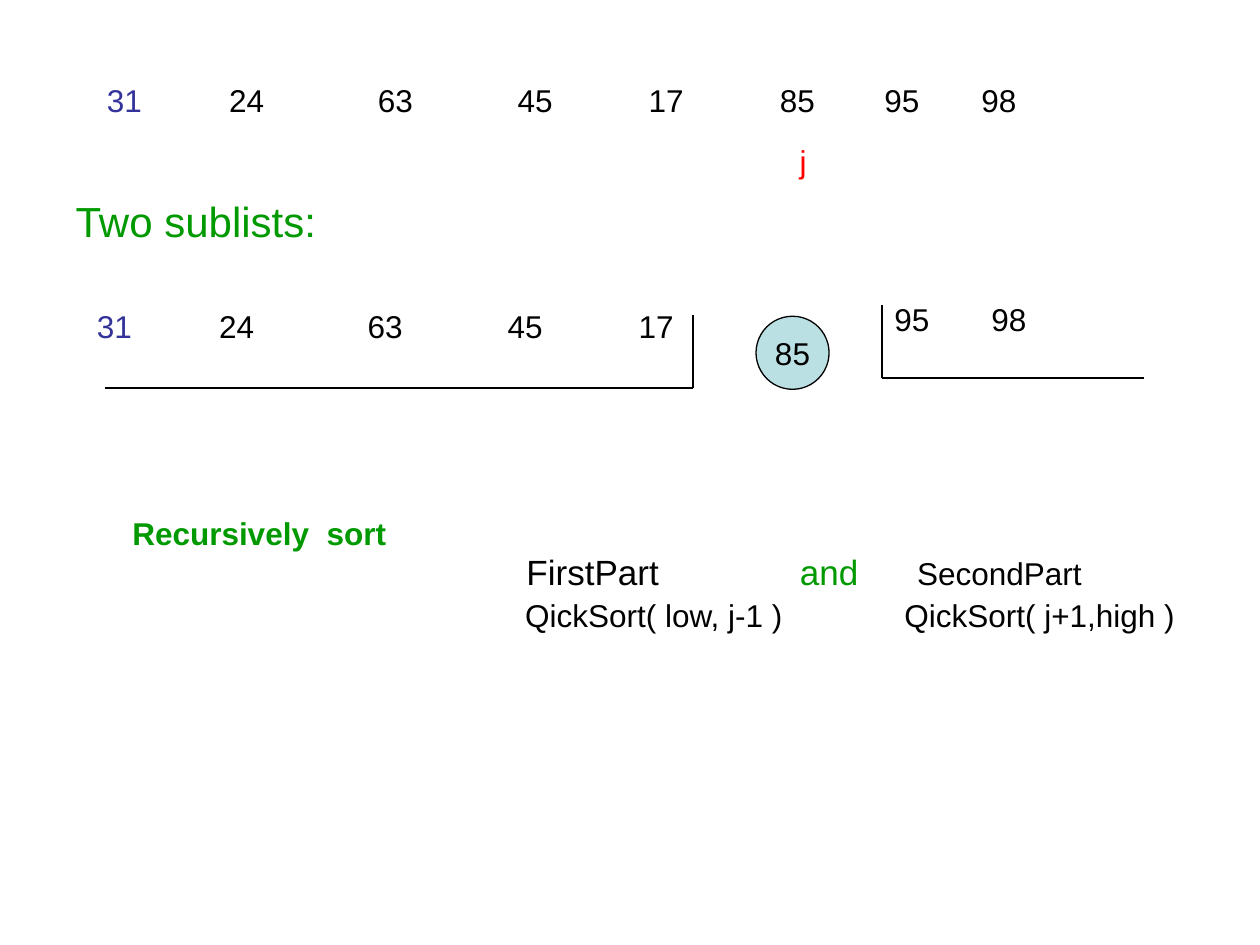
"""Build the quicksort slide that splits a list into two sublists around a pivot."""
import pptx
import pptx.dml.color
import pptx.enum.shapes
import pptx.enum.text
import pptx.oxml.ns
import pptx.util
import lxml.etree

Inches = pptx.util.Inches
BLACK = pptx.dml.color.RGBColor(0x00, 0x00, 0x00)
WHITE = pptx.dml.color.RGBColor(0xFF, 0xFF, 0xFF)
INDIGO = pptx.dml.color.RGBColor(0x33, 0x33, 0x99)
GREEN = pptx.dml.color.RGBColor(0x00, 0x99, 0x00)
RED = pptx.dml.color.RGBColor(0xFF, 0x00, 0x00)
PALE_TEAL = pptx.dml.color.RGBColor(0xBB, 0xE0, 0xE3)


def place(shape, left, top, width, height, wrap=True):
    bounds = {"left": left, "top": top, "width": width, "height": height}
    for name, value in bounds.items():
        setattr(shape, name, Inches(value))
    frame_format = {
        "word_wrap": wrap,
        "auto_size": pptx.enum.text.MSO_AUTO_SIZE.NONE,
        "vertical_anchor": pptx.enum.text.MSO_ANCHOR.TOP,
    }
    for name, value in frame_format.items():
        setattr(shape.text_frame, name, value)


def write(paragraph, runs, stops=(), alignment=pptx.enum.text.PP_ALIGN.LEFT):
    paragraph_format = {"alignment": alignment, "space_before": pptx.util.Pt(0)}
    for name, value in paragraph_format.items():
        setattr(paragraph, name, value)
    if stops:
        properties = paragraph._p.get_or_add_pPr()
        tab_list = lxml.etree.SubElement(properties, pptx.oxml.ns.qn("a:tabLst"))
        for stop in stops:
            tab = lxml.etree.SubElement(tab_list, pptx.oxml.ns.qn("a:tab"))
            tab.set("pos", str(Inches(stop)))
            tab.set("algn", "l")
    for text, size, color, bold in runs:
        run = paragraph.add_run()
        run.text = text
        font_format = {"name": "Arial", "size": pptx.util.Pt(size), "bold": bold}
        for name, value in font_format.items():
            setattr(run.font, name, value)
        run.font.color.rgb = color


presentation = pptx.Presentation()
presentation.slide_width = Inches(10)
presentation.slide_height = Inches(7.5)
slide = presentation.slides.add_slide(presentation.slide_layouts[1])

title = slide.shapes.title
place(title, 0.5, 1.5, 4.33, 0.5)
write(title.text_frame.paragraphs[0], [("Two sublists:", 24, GREEN, False)])

number_stops = [0.97, 2.15, 3.26, 4.3, 5.34, 6.17, 6.94]
number_rows = [
    ((0.75, 0.59, 7.91, 0.7), "31", [24, 63, 45, 17, 85, 95, 98], number_stops),
    ((0.67, 2.39, 5.33, 0.7), "31", [24, 63, 45, 17], number_stops),
    ((7, 2.33, 2.25, 0.7), "95", [98], [0.77]),
]
for bounds, first, others, stops in number_rows:
    row = slide.shapes.add_textbox(0, 0, 0, 0)
    place(row, *bounds)
    first_color = INDIGO if first == "31" else BLACK
    rest = "".join(f"\t{number}" for number in others)
    runs = [(first, 18, first_color, False), (rest, 18, BLACK, False)]
    write(row.text_frame.paragraphs[0], runs, stops)

bracket_lines = [
    (5.5, 2.5, 5.5, 3.08),
    (0.83, 3.08, 5.5, 3.08),
    (7, 2.42, 7, 3),
    (7, 3, 9.08, 3),
]
for ends in bracket_lines:
    line = slide.shapes.add_connector(
        pptx.enum.shapes.MSO_CONNECTOR.STRAIGHT, *[Inches(end) for end in ends]
    )
    line.line.color.rgb = BLACK
    line.line.width = pptx.util.Pt(0.75)
    lxml.etree.SubElement(line._element.spPr, pptx.oxml.ns.qn("a:effectLst"))

body = slide.placeholders[1]
place(body, 0.95, 4.03, 8.71, 0.4)
step = body.text_frame.paragraphs[0]
write(step, [("Recursively  sort", 18, GREEN, True)])
step_properties = step._p.get_or_add_pPr()
for name in ("marL", "indent"):
    step_properties.set(name, "0")
lxml.etree.SubElement(step_properties, pptx.oxml.ns.qn("a:buNone"))

calls = slide.shapes.add_textbox(0, 0, 0, 0)
place(calls, 0.95, 4.32, 8.71, 0.8)
part_names = [
    ("\tFirstPart", 20, BLACK, False),
    ("\tand", 20, GREEN, False),
    ("\tSecondPart", 18, BLACK, False),
]
part_calls = [
    ("\t", 20, GREEN, False),
    ("QickSort( low, j-1 )\tQickSort( j+1,high )", 18, BLACK, False),
]
write(calls.text_frame.paragraphs[0], part_names, [3.13, 5.3, 6.23])
write(calls.text_frame.add_paragraph(), part_calls, [3.12, 6.13])

markers = [
    ("RECTANGLE", (5.96, 1.1, 0.83, 0.35), WHITE, WHITE, "j", RED),
    ("OVAL", (6, 2.51, 0.58, 0.58), PALE_TEAL, BLACK, "85", BLACK),
]
for kind, bounds, fill_color, line_color, label, label_color in markers:
    marker = slide.shapes.add_shape(pptx.enum.shapes.MSO_SHAPE[kind], 0, 0, 0, 0)
    place(marker, *bounds, wrap=False)
    marker.text_frame.vertical_anchor = pptx.enum.text.MSO_ANCHOR.MIDDLE
    marker.shadow.inherit = False
    marker.fill.solid()
    marker.fill.fore_color.rgb = fill_color
    marker.line.color.rgb = line_color
    marker.line.width = pptx.util.Pt(0.75)
    write(
        marker.text_frame.paragraphs[0],
        [(label, 18, label_color, False)],
        alignment=pptx.enum.text.PP_ALIGN.CENTER,
    )

presentation.save("out.pptx")
